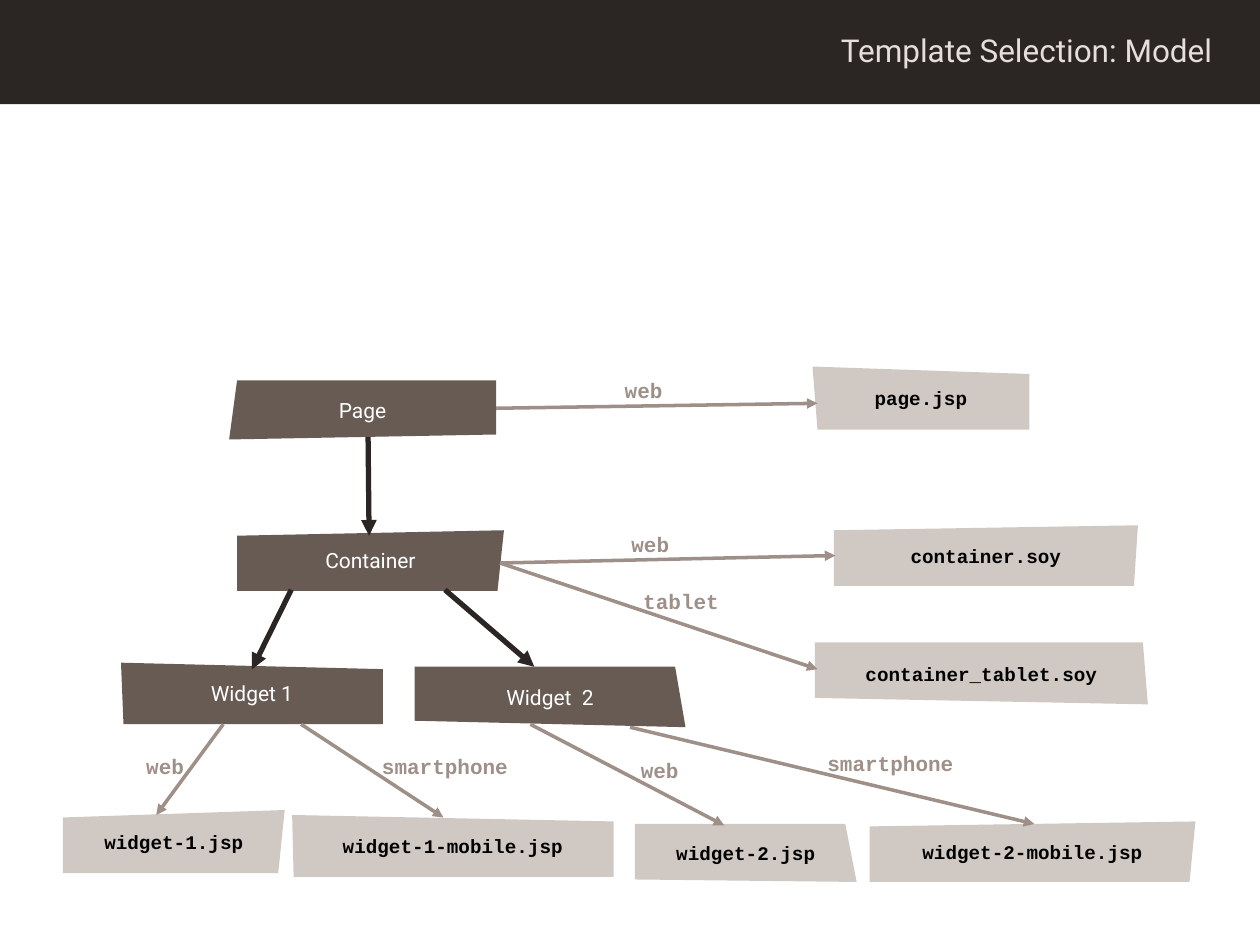
from dataclasses import dataclass

from lxml.etree import SubElement
from pptx import Presentation
from pptx.dml.color import RGBColor
from pptx.enum.shapes import MSO_CONNECTOR as Connector, MSO_SHAPE as Shape
from pptx.enum.text import MSO_ANCHOR as Anchor, PP_ALIGN as Align
from pptx.oxml.ns import qn
from pptx.util import Cm, Pt


@dataclass(frozen=True)
class TextStyle:
    font: str
    size: int
    color: str
    bold: bool = False


@dataclass(frozen=True)
class Theme:
    dark: str = "2B2623"
    node_fill: str = "675B53"
    file_fill: str = "CFC8C3"
    muted: str = "9E9088"
    tree_width: int = 3
    template_width: int = 2
    title: TextStyle = TextStyle("Roboto", 18, "E5DEDC")
    node: TextStyle = TextStyle("Roboto", 12, "FFFFFF")
    file: TextStyle = TextStyle("Courier New", 11, "000000", True)
    label: TextStyle = TextStyle("Courier New", 12, "9E9088", True)


class DiagramSlide:
    """Draws the elements of one slide; all lengths are centimetres."""

    def __init__(self, slide, theme):
        self.shapes = slide.shapes
        self.theme = theme

    def fill(self, shape, color):
        shape.shadow.inherit = False
        shape.fill.solid()
        shape.fill.fore_color.rgb = RGBColor.from_string(color)
        shape.line.fill.background()

    def set_text(self, frame, text, style, align):
        frame.word_wrap = True
        frame.text = text
        paragraph = frame.paragraphs[0]
        paragraph.alignment = align
        font = paragraph.runs[0].font
        font.name, font.size, font.bold = style.font, Pt(style.size), style.bold
        font.color.rgb = RGBColor.from_string(style.color)

    def band(self, width, height):
        band = self.shapes.add_shape(Shape.RECTANGLE, 0, 0, Cm(width), Cm(height))
        self.fill(band, self.theme.dark)

    def text(self, text, left, top, width, height, style, align=Align.CENTER):
        box = self.shapes.add_textbox(Cm(left), Cm(top), Cm(width), Cm(height))
        self.set_text(box.text_frame, text, style, align)

    def slanted_box(self, text, corners, color, style):
        start, *others = [(Cm(x), Cm(y)) for x, y in corners]
        builder = self.shapes.build_freeform(*start)
        builder.add_line_segments(others, close=True)
        box = builder.convert_to_shape()
        self.fill(box, color)
        frame = box.text_frame
        frame.margin_left = frame.margin_right = 0
        frame.margin_top = frame.margin_bottom = 0
        frame.vertical_anchor = Anchor.MIDDLE
        self.set_text(frame, text, style, Align.CENTER)

    def arrow(self, start, end, color, width):
        ends = [Cm(value) for value in (*start, *end)]
        arrow = self.shapes.add_connector(Connector.STRAIGHT, *ends)
        arrow.line.color.rgb = RGBColor.from_string(color)
        arrow.line.width = Pt(width)
        properties = arrow.line._get_or_add_ln()
        SubElement(properties, qn("a:tailEnd"), type="triangle")
        SubElement(arrow._element.spPr, qn("a:effectLst"))


# Corners run clockwise from the top left.
NODES = {
    "Page": [(4.78, 7.67), (10, 7.67), (10, 8.76), (4.62, 8.86)],
    "Container": [(4.78, 10.8), (10.16, 10.69), (10.03, 11.91), (4.78, 11.91)],
    "Widget 1": [(2.44, 13.36), (7.72, 13.49), (7.72, 14.6), (2.49, 14.6)],
    "Widget  2": [(8.36, 13.44), (13.61, 13.44), (13.82, 14.66), (8.36, 14.53)],
}
TEMPLATE_FILES = {
    "page.jsp": [(16.38, 7.39), (20.75, 7.54), (20.75, 8.66), (16.48, 8.66)],
    "container.soy": [(16.81, 10.69), (22.94, 10.59), (22.86, 11.81), (16.81, 11.81)],
    "widget-1.jsp": [(1.27, 16.48), (5.74, 16.33), (5.61, 17.6), (1.27, 17.6)],
    "container_tablet.soy": [(16.43, 12.95), (23.04, 12.95), (23.14, 14.2), (16.43, 14.07)],
    "widget-1-mobile.jsp": [(5.89, 16.43), (12.37, 16.56), (12.37, 17.68), (5.92, 17.68)],
    "widget-2.jsp": [(12.8, 16.61), (17.04, 16.61), (17.27, 17.78), (12.8, 17.73)],
    "widget-2-mobile.jsp": [(17.53, 16.66), (24.1, 16.56), (23.98, 17.78), (17.53, 17.78)],
}
TREE_ARROWS = [
    ((7.42, 8.81), (7.44, 10.8)),
    ((5.87, 11.89), (5.08, 13.49)),
    ((8.97, 11.89), (10.77, 13.44)),
]
CONTAINER_EXIT = (10.08, 11.35)
TEMPLATE_ARROWS = [
    ((4.5, 14.6), (3.15, 16.43)),
    ((6.07, 14.6), (8.94, 16.48)),
    ((10.69, 14.6), (14.6, 16.64)),
    ((12.7, 14.66), (20.85, 16.61)),
    ((10, 8.23), (16.48, 8.13)),
    (CONTAINER_EXIT, (16.84, 11.2)),
    (CONTAINER_EXIT, (16.48, 13.49)),
]
LABEL_HEIGHT = 0.76
DEVICE_LABELS = [  # text, left, top, width
    ("web", 11.96, 7.49, 2.03),
    ("web", 12.17, 10.59, 1.88),
    ("tablet", 12.55, 11.73, 2.36),
    ("smartphone", 15.93, 15.01, 4.04),
    ("smartphone", 7.19, 15.06, 3.56),
    ("web", 2.44, 15.06, 1.78),
    ("web", 12.5, 15.14, 1.6),
]


def main():
    deck = Presentation()
    deck.slide_width, deck.slide_height = Cm(25.4), Cm(19.05)
    theme = Theme()
    diagram = DiagramSlide(deck.slides.add_slide(deck.slide_layouts[6]), theme)

    diagram.band(25.4, 2.1)
    diagram.text("Template Selection: Model", 7.29, 0.51, 17.4, 1.02,
                 theme.title, Align.RIGHT)
    for name, corners in NODES.items():
        diagram.slanted_box(name, corners, theme.node_fill, theme.node)
    for start, end in TREE_ARROWS:
        diagram.arrow(start, end, theme.dark, theme.tree_width)
    for name, corners in TEMPLATE_FILES.items():
        diagram.slanted_box(name, corners, theme.file_fill, theme.file)
    for start, end in TEMPLATE_ARROWS:
        diagram.arrow(start, end, theme.muted, theme.template_width)
    for device, left, top, width in DEVICE_LABELS:
        diagram.text(device, left, top, width, LABEL_HEIGHT, theme.label)

    deck.save("out.pptx")


if __name__ == "__main__":
    main()
